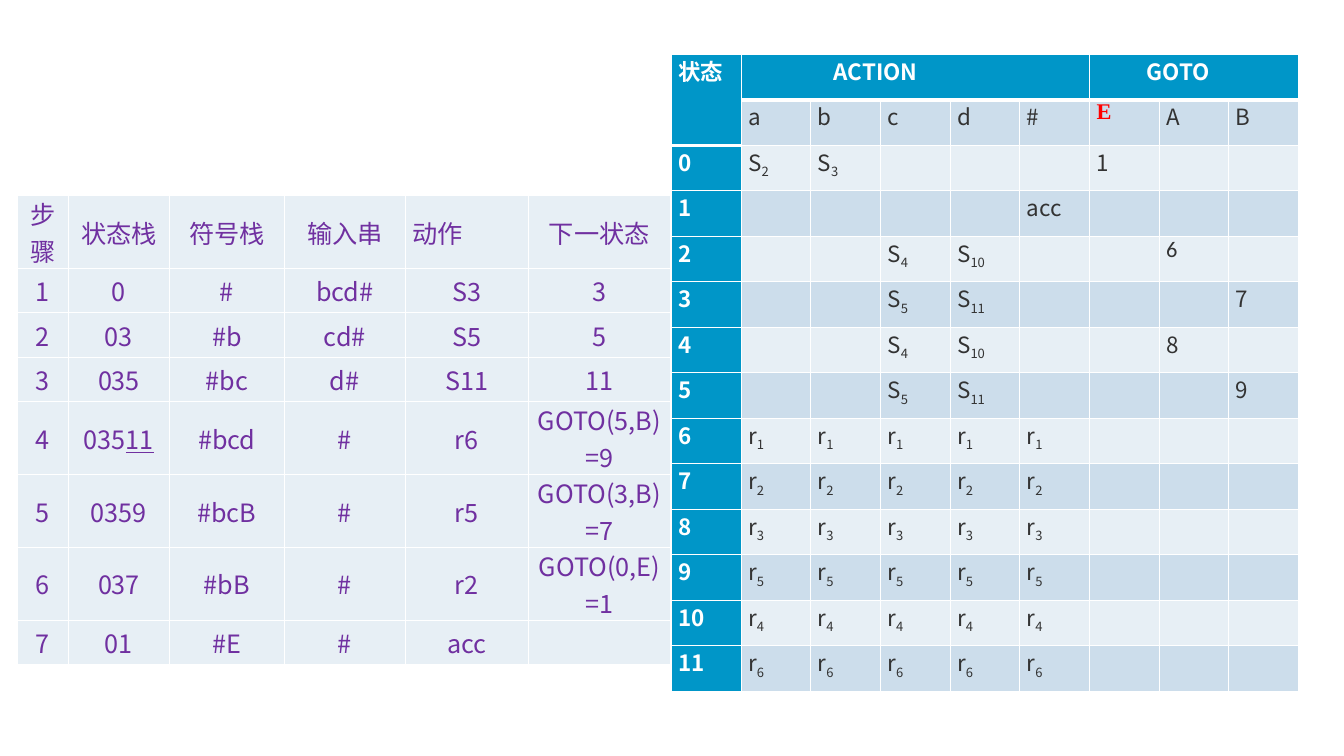
from lxml import etree
from pptx import Presentation
from pptx.dml.color import RGBColor
from pptx.enum.text import MSO_ANCHOR, PP_ALIGN
from pptx.oxml.ns import qn
from pptx.util import Inches, Pt

CENTER, JUSTIFY = PP_ALIGN.CENTER, PP_ALIGN.JUSTIFY
TOP, MIDDLE = MSO_ANCHOR.TOP, MSO_ANCHOR.MIDDLE

COLORS = {
    "header": "0096C8",
    "dark_band": "CCDDEB",
    "light_band": "E7EFF5",
    "white": "FFFFFF",
    "text": "333333",
    "start_symbol": "FF0000",
    "trace": "7030A0",
}
FONT = "Noto Sans CJK SC"

# An underscore splits a cell into plain text and marked text.
TRACE_ROWS = [
    ["步骤", "状态栈", "符号栈", "输入串", "动作", "下一状态"],
    ["1", "0", "#", "bcd#", "S3", "3"],
    ["2", "03", "#b", "cd#", "S5", "5"],
    ["3", "035", "#bc", "d#", "S11", "11"],
    ["4", "035_11", "#bcd", "#", "r6", "GOTO(5,B)=9"],
    ["5", "0359", "#bcB", "#", "r5", "GOTO(3,B)=7"],
    ["6", "037", "#bB", "#", "r2", "GOTO(0,E)=1"],
    ["7", "01", "#E", "#", "acc", ""],
]
TRACE_WIDTHS = [0.51, 1, 1.14, 1.2, 1.22, 1.41]
TRACE_ROW_HEIGHT = 0.44

SYMBOLS = ["a", "b", "c", "d", "#", "E", "A", "B"]
SHIFTS = [
    {"a": "S_2", "b": "S_3", "E": "1"},
    {"#": "acc"},
    {"c": "S_4", "d": "S_10", "A": "6"},
    {"c": "S_5", "d": "S_11", "B": "7"},
    {"c": "S_4", "d": "S_10", "A": "8"},
    {"c": "S_5", "d": "S_11", "B": "9"},
]
REDUCTIONS = [1, 2, 3, 5, 4, 6]  # rules used in states 6 to 11


def write_cell(cell, text, size, color, align, anchor=TOP, bold=False,
               font_name=FONT, mark="subscript"):
    cell.margin_left = cell.margin_right = Inches(0.07)
    cell.margin_top = cell.margin_bottom = 0
    cell.vertical_anchor = anchor
    paragraph = cell.text_frame.paragraphs[0]
    paragraph.alignment = align
    if not text:
        paragraph.font.size = Pt(size)
        return
    for index, part in enumerate(text.split("_")):
        run = paragraph.add_run()
        run.text = part
        font = run.font
        font.size, font.bold, font.name = Pt(size), bold, font_name
        font.color.rgb = RGBColor.from_string(COLORS[color])
        properties = run._r.get_or_add_rPr()
        etree.SubElement(properties, qn("a:ea"), typeface=font_name)
        if index and mark == "subscript":
            properties.set("baseline", "-25000")
        elif index:
            font.underline = True


def paint_cell(cell, color, top=1, bottom=1):
    """Fill a cell and draw its white borders, with widths in points."""
    cell.fill.solid()
    cell.fill.fore_color.rgb = RGBColor.from_string(COLORS[color])
    properties = cell._tc.get_or_add_tcPr()
    widths = {"a:lnL": 1, "a:lnR": 1, "a:lnT": top, "a:lnB": bottom}
    for position, (tag, width) in enumerate(widths.items()):
        line = etree.Element(qn(tag), w=str(Pt(width)))
        fill = etree.SubElement(line, qn("a:solidFill"))
        etree.SubElement(fill, qn("a:srgbClr"), val=COLORS["white"])
        properties.insert(position, line)


def add_plain_table(slide, left, top, widths, row_heights):
    table = slide.shapes.add_table(
        len(row_heights), len(widths), Inches(left), Inches(top),
        Inches(sum(widths)), Inches(sum(row_heights))).table
    table.first_row = table.horz_banding = False
    for column, width in zip(table.columns, widths):
        column.width = Inches(width)
    for row, height in zip(table.rows, row_heights):
        row.height = Inches(height)
    return table


def add_parsing_table(slide, left, top, width, height):
    """ACTION / GOTO table: two header rows, then one row per state."""
    reductions = [{symbol: f"r_{rule}" for symbol in SYMBOLS[:5]}
                  for rule in REDUCTIONS]
    rows = [["状态", "ACTION", "", "", "", "", "GOTO", "", ""], ["", *SYMBOLS]]
    for state, entries in enumerate(SHIFTS + reductions):
        rows.append([str(state)] + [entries.get(s, "") for s in SYMBOLS])

    columns = len(rows[0])
    table = add_plain_table(slide, left, top, [width / columns] * columns,
                            [height / len(rows)] * len(rows))
    for r, row in enumerate(rows):
        for c, text in enumerate(row):
            cell = table.cell(r, c)
            is_header = r == 0 or c == 0
            color, font_name = ("white" if is_header else "text"), FONT
            if text == "E":
                color, font_name = "start_symbol", "Times New Roman"
            elif text == "6" and not is_header:
                font_name = "Calibri"
            write_cell(cell, text, 16, color, JUSTIFY, font_name=font_name,
                       bold=is_header or text == "E")
            band = "dark_band" if r % 2 else "light_band"
            below_header = r == (2 if c == 0 else 1)
            paint_cell(cell, "header" if is_header else band,
                       top=3 if below_header else 1,
                       bottom=3 if r == 0 or (r, c) == (1, 0) else 1)

    # Header spans, with group titles set in from the left
    table.cell(0, 0).merge(table.cell(1, 0))
    table.cell(0, 1).merge(table.cell(0, 5))
    table.cell(0, 6).merge(table.cell(0, 8))
    table.cell(0, 1).margin_left = Inches(0.92)
    table.cell(0, 6).margin_left = Inches(0.57)


def add_trace_table(slide, left, top):
    """Step-by-step trace of the analysis; rows grow where text wraps."""
    table = add_plain_table(slide, left, top, TRACE_WIDTHS,
                            [TRACE_ROW_HEIGHT] * len(TRACE_ROWS))
    for r, row in enumerate(TRACE_ROWS):
        for c, text in enumerate(row):
            cell = table.cell(r, c)
            align = JUSTIFY if text == "动作" else CENTER
            write_cell(cell, text, 18, "trace", align, MIDDLE,
                       mark="underline")
            paint_cell(cell, "light_band")


def main():
    presentation = Presentation()
    presentation.slide_width = Inches(13.33)
    presentation.slide_height = Inches(7.5)
    slide = presentation.slides.add_slide(presentation.slide_layouts[6])
    add_parsing_table(slide, 6.66, 0.54, 6.22, 6.32)
    add_trace_table(slide, 0.17, 1.94)
    presentation.save("out.pptx")


if __name__ == "__main__":
    main()
